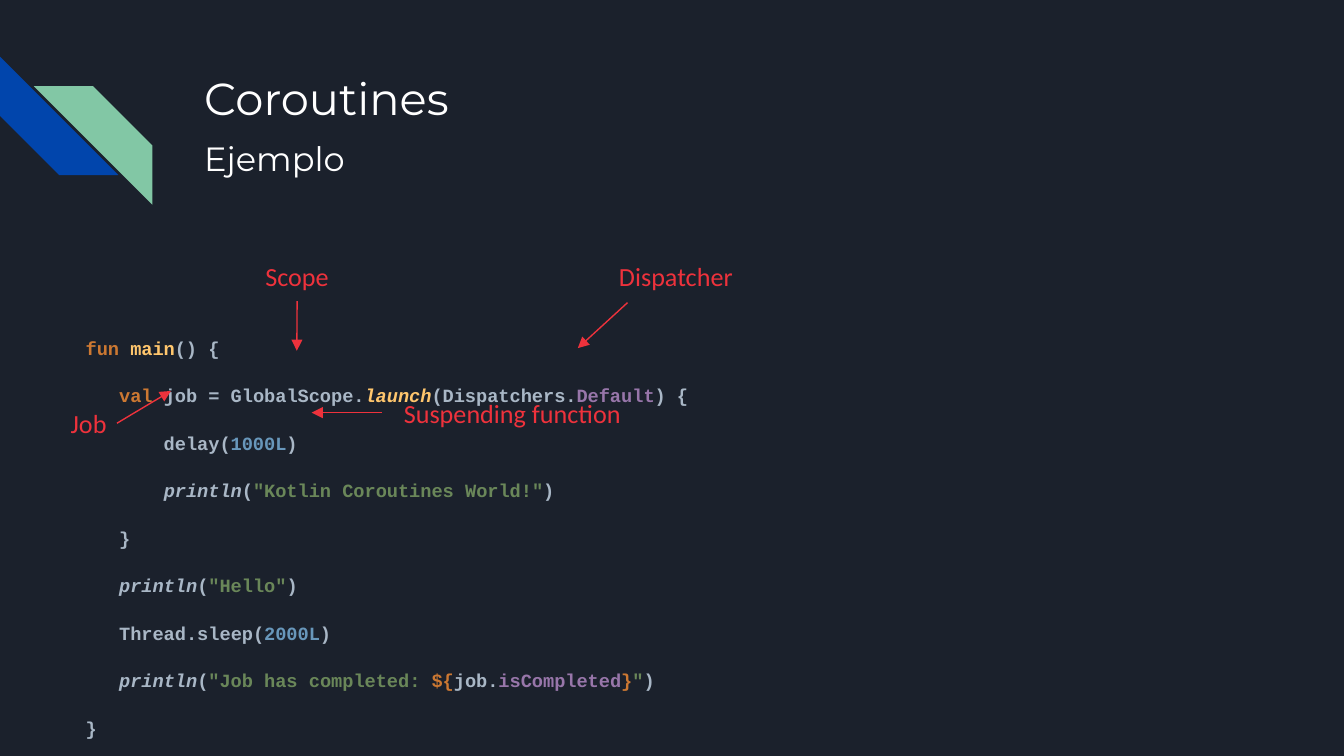
from lxml.etree import SubElement
from pptx import Presentation
from pptx.dml.color import RGBColor
from pptx.enum.shapes import MSO_CONNECTOR, MSO_SHAPE
from pptx.enum.text import MSO_ANCHOR, MSO_AUTO_SIZE, PP_ALIGN
from pptx.oxml.ns import qn
from pptx.util import Cm, Pt

COLORS = {
    "background": "1B212C", "blue": "0145AC", "green": "82C7A5",
    "heading": "FFFFFF", "note": "EE323C",
    "plain": "A9B7C6", "call": "A9B7C6", "keyword": "CC7832",
    "function": "FFC66D", "launcher": "FFC66D", "number": "6897BB",
    "string": "6A8759", "property": "9876AA",
}
ITALIC_TOKENS = {"call", "launcher"}
INSET = Cm(0.25)
NOTE_HEIGHT = 0.94

CODE = [
    [("fun ", "keyword"), ("main", "function"), ("() {", "plain")],
    [("   ", "plain"), ("val ", "keyword"), ("job = GlobalScope.", "plain"),
     ("launch", "launcher"), ("(Dispatchers.", "plain"),
     ("Default", "property"), (") {", "plain")],
    [("       delay(", "plain"), ("1000L", "number"), (")", "plain")],
    [("       ", "plain"), ("println", "call"), ("(", "plain"),
     ('"Kotlin Coroutines World!"', "string"), (")", "plain")],
    [("   }", "plain")],
    [("   ", "plain"), ("println", "call"), ("(", "plain"),
     ('"Hello"', "string"), (")", "plain")],
    [("   Thread.sleep(", "plain"), ("2000L", "number"), (")", "plain")],
    [("   ", "plain"), ("println", "call"), ("(", "plain"),
     ('"Job has completed: ', "string"), ("${", "keyword"), ("job.", "plain"),
     ("isCompleted", "property"), ("}", "keyword"), ('"', "string"),
     (")", "plain")],
    [("}", "plain")],
]

# Each note: text, left, top, width, arrow start, arrow end, joined side
NOTES = [
    ("Suspending function", 7.21, 7.33, 4.95, (7.21, 7.8), (5.89, 7.8), 1),
    ("Scope", 4.69, 4.75, 1.85, (5.61, 5.69), (5.61, 6.63), 2),
    ("Dispatcher", 11.25, 4.75, 3.05, (11.86, 5.72), (10.92, 6.58), None),
    ("Job", 0.94, 7.52, 1.47, (2.21, 8), (3.23, 7.39), None),
]


def rgb(name):
    """Return the named palette colour."""
    return RGBColor.from_string(COLORS[name])


def style_run(run, font_name, size, color, bold=False, italic=False):
    """Apply the full character format to one run."""
    font = run.font
    font.name, font.size = font_name, Pt(size)
    font.bold, font.italic = bold, italic
    font.color.rgb = rgb(color)


def prepare_frame(frame, anchor=MSO_ANCHOR.TOP):
    """Give a text frame its insets, wrapping and anchor."""
    frame.margin_left = frame.margin_right = INSET
    frame.margin_top = frame.margin_bottom = INSET
    frame.word_wrap = True
    frame.auto_size = MSO_AUTO_SIZE.NONE
    frame.vertical_anchor = anchor


def add_box(slide, left, top, width, height):
    """Add a text box placed in centimetres."""
    return slide.shapes.add_textbox(Cm(left), Cm(top), Cm(width), Cm(height))


def add_stripe(slide, left, top, rotation, color):
    """Add one diagonal stripe of the corner ornament."""
    stripe = slide.shapes.add_shape(
        MSO_SHAPE.DIAGONAL_STRIPE, Cm(left), Cm(top), Cm(2.24), Cm(2.24))
    stripe.rotation = rotation
    stripe.shadow.inherit = False
    stripe.fill.solid()
    stripe.fill.fore_color.rgb = rgb(color)
    stripe.line.fill.background()


def write_heading(heading, text, size):
    """Fill a heading with left-aligned white text."""
    frame = heading.text_frame
    prepare_frame(frame)
    frame.text = text
    frame.paragraphs[0].alignment = PP_ALIGN.LEFT
    style_run(frame.paragraphs[0].runs[0], "Montserrat", size, "heading")


def add_code(slide):
    """Add the listing with one coloured run per token."""
    frame = add_box(slide, 1.37, 5.64, 13.49, 7.75).text_frame
    prepare_frame(frame)
    for number, tokens in enumerate(CODE):
        line = frame.add_paragraph() if number else frame.paragraphs[0]
        line.line_spacing = 2.12
        for text, token in tokens:
            run = line.add_run()
            run.text = text
            style_run(run, "Courier New", 10, token, True, token in ITALIC_TOKENS)


def add_arrow(slide, start, end):
    """Add a thin red arrow and return it."""
    arrow = slide.shapes.add_connector(
        MSO_CONNECTOR.STRAIGHT, *map(Cm, start), *map(Cm, end))
    arrow.line.color.rgb = rgb("note")
    arrow.line.width = Pt(0.75)
    SubElement(arrow.line._get_or_add_ln(), qn("a:tailEnd"), type="triangle")
    SubElement(arrow._element.spPr, qn("a:effectLst"))
    return arrow


def add_note(slide, text, left, top, width, start, end, side):
    """Add a red note with the arrow that points into the code."""
    note = add_box(slide, left, top, width, NOTE_HEIGHT)
    frame = note.text_frame
    prepare_frame(frame, MSO_ANCHOR.MIDDLE)
    frame.text = text
    frame.paragraphs[0].alignment = PP_ALIGN.CENTER
    style_run(frame.paragraphs[0].runs[0], "Calibri", 14, "note")
    arrow = add_arrow(slide, start, end)
    if side is not None:
        arrow.begin_connect(note, side)


def main():
    """Build and save the coroutine example slide."""
    deck = Presentation()
    deck.slide_width, deck.slide_height = Cm(25.4), Cm(14.29)
    slide = deck.slides.add_slide(deck.slide_layouts[5])
    slide.background.fill.solid()
    slide.background.fill.fore_color.rgb = rgb("background")
    add_stripe(slide, 0, 1.07, 270, "blue")
    add_stripe(slide, 0.64, 1.63, 90, "green")
    title = slide.shapes.title
    title.left, title.top = Cm(3.61), Cm(1.09)
    title.width, title.height = Cm(19.56), Cm(1.47)
    write_heading(title, "Coroutines", 24)
    write_heading(add_box(slide, 3.61, 2.36, 19.56, 1.32), "Ejemplo", 18)
    add_code(slide)
    for note in NOTES:
        add_note(slide, *note)
    deck.save("out.pptx")


if __name__ == "__main__":
    main()
